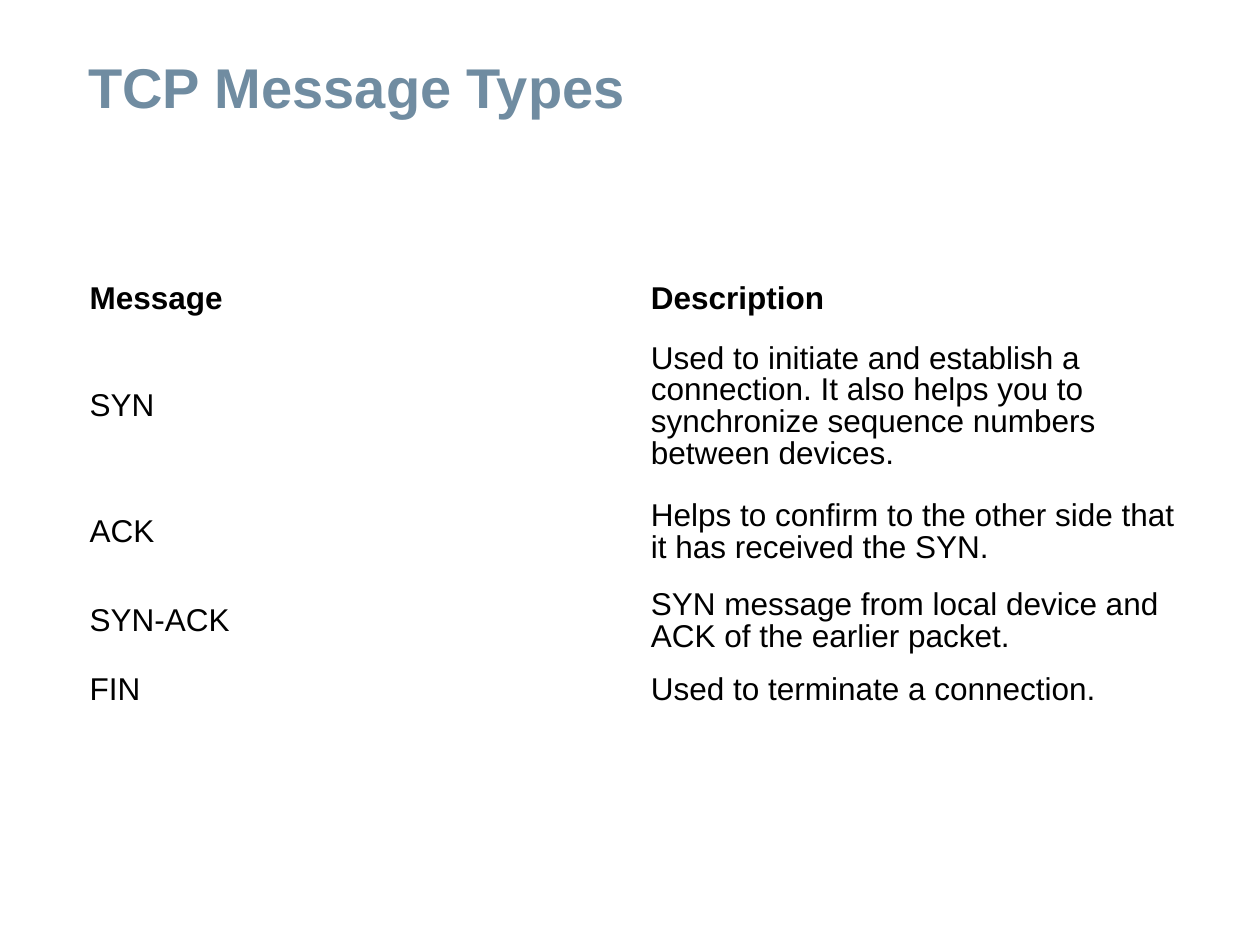
from pptx import Presentation
from pptx.dml.color import RGBColor
from pptx.enum.text import MSO_ANCHOR, MSO_AUTO_SIZE, PP_ALIGN
from pptx.util import Pt

# Content
TITLE = "TCP Message Types"
ROWS = [
    ("Message", "Description"),
    ("SYN", "Used to initiate and establish a connection. It also helps you to "
            "synchronize sequence numbers between devices."),
    ("ACK", "Helps to confirm to the other side that it has received the SYN."),
    ("SYN-ACK", "SYN message from local device and ACK of the earlier packet."),
    ("FIN", "Used to terminate a connection."),
]

# Theme and layout, in points
THEME = {"font": "Arial", "title": "708CA1", "body": "000000",
         "big": 32, "small": 18}
LEFT, WIDTH = 44, 641.5
HEAD_TOP, HEAD_HIGH = 28, 44
GRID_TOP = 157
HIGHS = [29, 93.5, 50.5, 50.5, 29]


def write(frame, text, size, color, bold=False):
    para = frame.paragraphs[0]
    para.text = text
    para.alignment = PP_ALIGN.LEFT
    para.line_spacing = 0.9
    font = para.runs[0].font
    font.name, font.size, font.bold = THEME["font"], Pt(size), bold
    font.color.rgb = RGBColor.from_string(color)


deck = Presentation()
deck.slide_width, deck.slide_height = Pt(720), Pt(540)
slide = deck.slides.add_slide(deck.slide_layouts[5])

# Title
head = slide.shapes.title
head.left, head.top = Pt(LEFT), Pt(HEAD_TOP)
head.width, head.height = Pt(WIDTH), Pt(HEAD_HIGH)
frame = head.text_frame
frame.auto_size = MSO_AUTO_SIZE.NONE
frame.word_wrap = True
frame.vertical_anchor = MSO_ANCHOR.BOTTOM
frame.margin_left = frame.margin_right = Pt(6.5)
frame.margin_top = frame.margin_bottom = Pt(3)
write(frame, TITLE, size=THEME["big"], color=THEME["title"], bold=True)

# Table of messages
grid = slide.shapes.add_table(len(ROWS), len(ROWS[0]), Pt(LEFT), Pt(GRID_TOP),
                              Pt(WIDTH), Pt(sum(HIGHS))).table
grid.horz_banding = grid.first_row = False
for r, (row, high) in enumerate(zip(ROWS, HIGHS)):
    grid.rows[r].height = Pt(high)
    for c, text in enumerate(row):
        cell = grid.cell(r, c)
        cell.fill.background()
        cell.vertical_anchor = MSO_ANCHOR.MIDDLE
        write(cell.text_frame, text, size=THEME["small"],
              color=THEME["body"], bold=r == 0)

deck.save("out.pptx")
